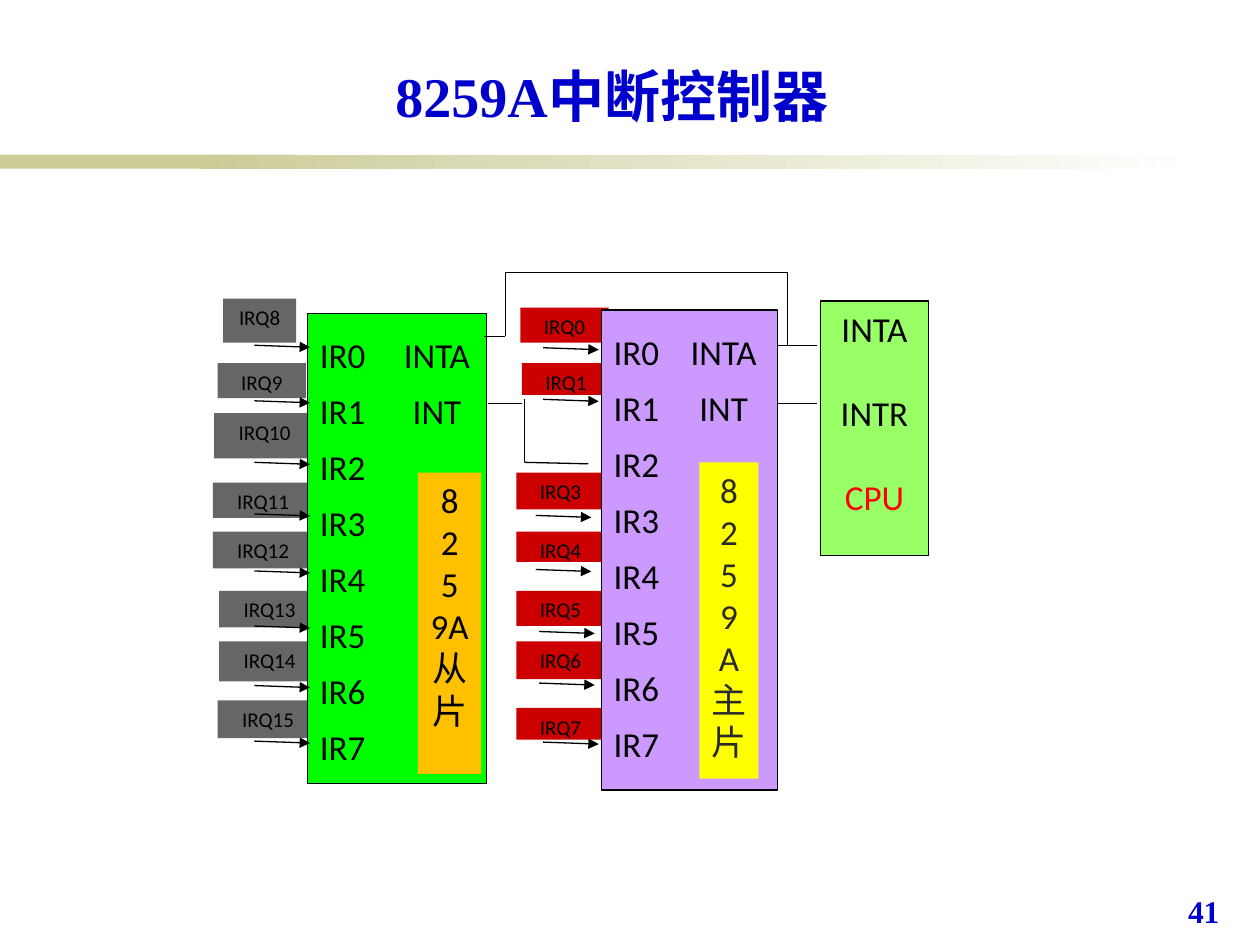
from lxml import etree
from pptx import Presentation
from pptx.dml.color import RGBColor
from pptx.enum.shapes import MSO_CONNECTOR, MSO_SHAPE
from pptx.enum.text import MSO_ANCHOR, PP_ALIGN
from pptx.oxml.ns import qn
from pptx.util import Cm, Pt

RECT, STRAIGHT = MSO_SHAPE.RECTANGLE, MSO_CONNECTOR.STRAIGHT
LEFT, CENTER, JUSTIFY = PP_ALIGN.LEFT, PP_ALIGN.CENTER, PP_ALIGN.JUSTIFY
TOP, BOTTOM = MSO_ANCHOR.TOP, MSO_ANCHOR.BOTTOM
SANS, SERIF, CJK = "Calibri", "Times New Roman", "Noto Sans CJK JP"

COLORS = {
    "black": "000000", "white": "FFFFFF", "blue": "0000CC", "red": "FF0000",
    "dark": "292929", "bar": "CCCC99", "cpu": "99FF66",
    "slave": "00FF00", "slave_irq": "666666", "slave_name": "FFC000",
    "master": "CC99FF", "master_irq": "CC0000", "master_name": "FFFF00",
}

# All positions are in centimetres.
# Request: name, box (left, top, width, height), arrow start (x, y)
SLAVE_X, MASTER_W = 5.13, 1.78
SLAVE_IRQS = [
    ("IRQ8", (4.5, 6.02, 1.47, 0.89), (SLAVE_X, 6.96)),
    ("IRQ9", (4.39, 7.32, 1.78, 0.71), (SLAVE_X, 8.08)),
    ("IRQ10", (4.32, 8.33, 2.03, 0.91), (SLAVE_X, 9.32)),
    ("IRQ11", (4.29, 9.73, 2.03, 0.71), (SLAVE_X, 10.36)),
    ("IRQ12", (4.29, 10.72, 2.03, 0.74), (SLAVE_X, 11.51)),
    ("IRQ13", (4.42, 11.91, 2.03, 0.74), (SLAVE_X, 12.62)),
    ("IRQ14", (4.42, 12.93, 2.03, 0.81), (SLAVE_X, 13.82)),
    ("IRQ15", (4.39, 14.12, 2.03, 0.76), (SLAVE_X, 14.94)),
]
MASTER_IRQS = [
    ("IRQ0", (10.49, 6.2, MASTER_W, 0.71), (10.95, 7.01)),
    ("IRQ1", (10.52, 7.32, MASTER_W, 0.64), (10.95, 8.05)),
    ("IRQ3", (10.41, 9.53, MASTER_W, 0.74), (10.8, 10.39)),
    ("IRQ4", (10.41, 10.72, MASTER_W, 0.61), (10.8, 11.48)),
    ("IRQ5", (10.41, 11.91, MASTER_W, 0.71), (10.87, 12.73)),
    ("IRQ6", (10.41, 12.93, MASTER_W, 0.76), (10.87, 13.77)),
    ("IRQ7", (10.41, 14.27, MASTER_W, 0.64), (10.95, 14.96)),
]
ARROW_DX, ARROW_DY = 1.12, 0.04

PINS = ["IR0\tINTA", "IR1\tINT"] + [f"IR{i}" for i in range(2, 8)]
# Chip: fill, box, centre of the output pins from the text edge
CHIPS = [
    ("slave", (6.2, 6.32, 3.61, 9.47), 2.36),
    ("master", (12.12, 6.25, 3.56, 9.68), 2.22),
]
# Chip name: fill, box, lines, text colour, side inset
CHIP_NAMES = [
    ("slave_name", (8.43, 9.53, 1.27, 6.07), ["8", "2", "5", "9A", "从片"], "black", 0.13),
    ("master_name", (14.1, 9.32, 1.19, 6.38), ["8259A", "主片"], "dark", 0.25),
]
CPU_BOX = (16.54, 6.07, 2.18, 5.13)
CPU_LINES = [("INTA", "black"), ("INTR", "black"), ("CPU", "red")]

WIRES = [
    [(15.68, 6.96), (16.46, 6.96)],
    [(15.68, 8.13), (16.46, 8.13)],
    [(9.75, 6.78), (10.19, 6.78), (10.19, 5.49), (15.88, 5.49), (15.88, 6.96)],
    [(9.83, 8.13), (10.52, 8.13)],
    [(10.57, 8.05), (10.57, 9.32), (11.86, 9.35)],
]


def rgb(name):
    return RGBColor.from_string(COLORS[name])


def add_box(s, box, fill, outlined=False):
    sp = s.shapes.add_shape(RECT, *map(Cm, box))
    sp.shadow.inherit = False
    sp.fill.solid()
    sp.fill.fore_color.rgb = rgb(fill)
    if outlined:
        sp.line.color.rgb = rgb("black")
        sp.line.width = Pt(0.75)
    else:
        sp.line.fill.background()
    return sp


def add_run(p, text, size, color="black", font=SANS, bold=False):
    r = p.add_run()
    r.text = text
    r.font.color.rgb = rgb(color)
    for name, value in {"size": Pt(size), "name": font, "bold": bold}.items():
        setattr(r.font, name, value)
    etree.SubElement(r.font._element, qn("a:ea")).set("typeface", CJK)


def write(sp, lines, size, align=CENTER, anchor=TOP, inset=0.25, tab=None, **paragraph):
    """Fill a shape with (text, colour) lines, one paragraph each."""
    tf = sp.text_frame
    frame = {"word_wrap": True, "vertical_anchor": anchor,
             "margin_left": Cm(inset), "margin_right": Cm(inset)}
    for name, value in frame.items():
        setattr(tf, name, value)
    for i, (text, color) in enumerate(lines):
        p = tf.paragraphs[0] if i == 0 else tf.add_paragraph()
        p.alignment = align
        for name, value in paragraph.items():
            if i or name != "space_before":
                setattr(p, name, value)
        if tab and "\t" in text:
            tabs = etree.SubElement(p._p.get_or_add_pPr(), qn("a:tabLst"))
            etree.SubElement(tabs, qn("a:tab"), pos=str(Cm(tab)), algn="ctr")
        add_run(p, text, size, color)


def add_line(s, start, end, arrow=False):
    c = s.shapes.add_connector(STRAIGHT, *map(Cm, start + end))
    c.line.color.rgb = rgb("black")
    c.line.width = Pt(0.75)
    if arrow:
        etree.SubElement(c.line._get_or_add_ln(), qn("a:tailEnd"), type="triangle")
    etree.SubElement(c._element.spPr, qn("a:effectLst"))


def add_header(s):
    add_box(s, (0, 3.12, 5.92, 0.28), "bar")
    fade = add_box(s, (4.01, 3.12, 20.12, 0.28), "bar").fill
    fade.gradient()
    fade.gradient_angle = 0
    for stop, color in zip(fade.gradient_stops, ("bar", "white")):
        stop.color.rgb = rgb(color)

    title = s.shapes.add_textbox(*map(Cm, (2.11, 1.12, 20.45, 1.6)))
    write(title, [], 32, anchor=BOTTOM)
    p = title.text_frame.paragraphs[0]
    p.alignment = CENTER
    add_run(p, "8259A", 32, "blue", SERIF, True)
    add_run(p, "中断控制器", 32, "blue", CJK, True)

    number = s.shapes.add_textbox(*map(Cm, (23.7, 17.86, 1.63, 1.27)))
    write(number, [], 18)
    p = number.text_frame.paragraphs[0]
    p.alignment = LEFT
    add_run(p, "41", 18, "blue", SERIF, True)


def add_diagram(s):
    for irqs, fill in ((SLAVE_IRQS, "slave_irq"), (MASTER_IRQS, "master_irq")):
        for name, box, _ in irqs:
            write(add_box(s, box, fill), [(name, "black")], 12)

    for fill, box, tab in CHIPS:
        write(add_box(s, box, fill, True), [(pin, "black") for pin in PINS], 20,
              align=JUSTIFY, tab=tab, line_spacing=Pt(32))
    write(add_box(s, CPU_BOX, "cpu", True), CPU_LINES, 20, space_before=Pt(24))

    for _, _, (x, y) in SLAVE_IRQS + MASTER_IRQS:
        add_line(s, (x, y), (x + ARROW_DX, y + ARROW_DY), arrow=True)
    for wire in WIRES:
        for start, end in zip(wire, wire[1:]):
            add_line(s, start, end)

    for fill, box, lines, color, inset in CHIP_NAMES:
        write(add_box(s, box, fill), [(line, color) for line in lines], 20, inset=inset)


def main():
    prs = Presentation()
    prs.slide_width, prs.slide_height = Cm(25.4), Cm(19.05)
    s = prs.slides.add_slide(prs.slide_layouts[6])
    add_header(s)
    add_diagram(s)
    prs.save("out.pptx")


if __name__ == "__main__":
    main()
